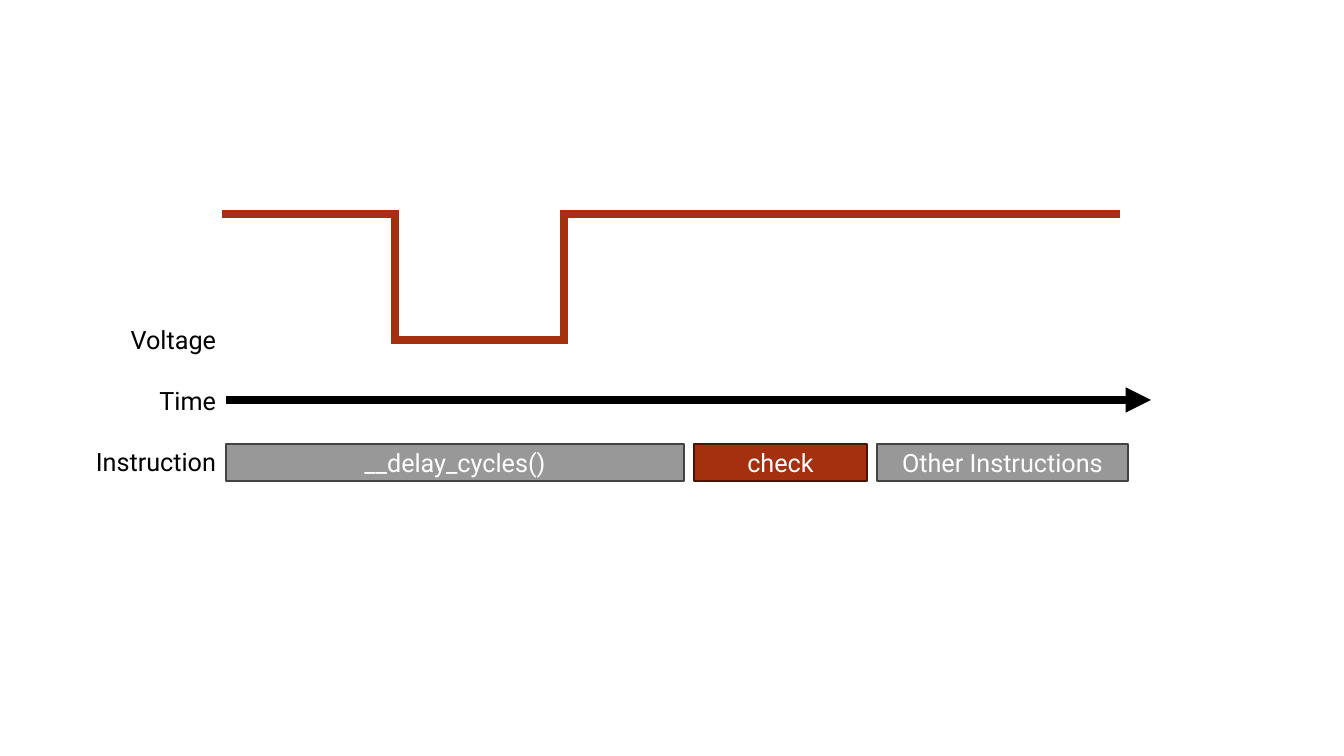
from dataclasses import dataclass

from pptx import Presentation
from pptx import util as u
from pptx.dml.color import RGBColor
from pptx.enum import shapes, text
from pptx.oxml.ns import qn
from lxml import etree


@dataclass(frozen=True)
class Theme:
    font: str = "Roboto"
    size: int = 18
    ink: str = "000000"
    light: str = "FFFFFF"
    red: str = "A5300F"
    red_edge: str = "481507"
    grey: str = "989898"
    grey_edge: str = "434343"
    trace: int = 6
    edge: float = 1.5


def px(n):
    return u.Emu(round(n * 914400 / 100.8))


class Diagram:
    def __init__(self, slide, theme):
        self.s, self.theme = slide, theme

    def put_text(self, tf, lines, *, color, align, gap=0):
        for i, line in enumerate(lines):
            p = tf.paragraphs[0] if i == 0 else tf.add_paragraph()
            p.alignment = align
            if i:
                p.space_before = u.Pt(gap)
            r = p.add_run()
            r.text = line
            r.font.name = self.theme.font
            r.font.size = u.Pt(self.theme.size)
            r.font.color.rgb = RGBColor.from_string(color)

    def line(self, x1, y1, x2, y2, color, arrow=False):
        sp = self.s.shapes.add_connector(
            shapes.MSO_CONNECTOR.STRAIGHT, px(x1), px(y1), px(x2), px(y2))
        sp.line.color.rgb = RGBColor.from_string(color)
        sp.line.width = u.Pt(self.theme.trace)
        props = sp._element.spPr
        if arrow:
            etree.SubElement(props.find(qn("a:ln")), qn("a:tailEnd"), type="triangle")
        etree.SubElement(props, qn("a:effectLst"))

    def labels(self, x, y, w, h, lines, gap):
        tf = self.s.shapes.add_textbox(px(x), px(y), px(w), px(h)).text_frame
        tf.word_wrap = True
        self.put_text(tf, lines, color=self.theme.ink, align=text.PP_ALIGN.RIGHT, gap=gap)

    def block(self, x, y, w, h, label, fill, edge):
        sp = self.s.shapes.add_shape(
            shapes.MSO_SHAPE.RECTANGLE, px(x), px(y), px(w), px(h))
        sp.shadow.inherit = False
        sp.fill.solid()
        sp.fill.fore_color.rgb = RGBColor.from_string(fill)
        sp.line.color.rgb = RGBColor.from_string(edge)
        sp.line.width = u.Pt(self.theme.edge)
        tf = sp.text_frame
        tf.word_wrap = True
        tf.vertical_anchor = text.MSO_ANCHOR.MIDDLE
        self.put_text(tf, [label], color=self.theme.light, align=text.PP_ALIGN.CENTER)


def main():
    prs = Presentation()
    prs.slide_width, prs.slide_height = px(1344), px(756)
    theme = Theme()
    d = Diagram(prs.slides.add_slide(prs.slide_layouts[6]), theme)

    # Time axis and row labels
    d.line(226, 400, 1151, 400, theme.ink, arrow=True)
    d.labels(74, 319, 152, 163, ["Voltage", "Time", "Instruction"], gap=22)

    # Voltage trace, with ends overlapping by half a line width at corners
    high, low, fall, rise, half = 214, 340, 395, 564, 4
    for x1, y1, x2, y2 in [
        (222, high, fall, high),
        (fall, low, rise + half, low),
        (fall, low + half, fall, high - half),
        (rise, low + half, rise, high - half),
        (rise - half, high, 1120, high),
    ]:
        d.line(x1, y1, x2, y2, theme.red)

    # Instruction blocks
    grey, red = (theme.grey, theme.grey_edge), (theme.red, theme.red_edge)
    x, gap = 226, 10
    for label, w, colors in [
        ("__delay_cycles()", 458, grey),
        ("check", 173, red),
        ("Other Instructions", 251, grey),
    ]:
        d.block(x, 444, w, 37, label, *colors)
        x += w + gap

    prs.save("out.pptx")


if __name__ == "__main__":
    main()
